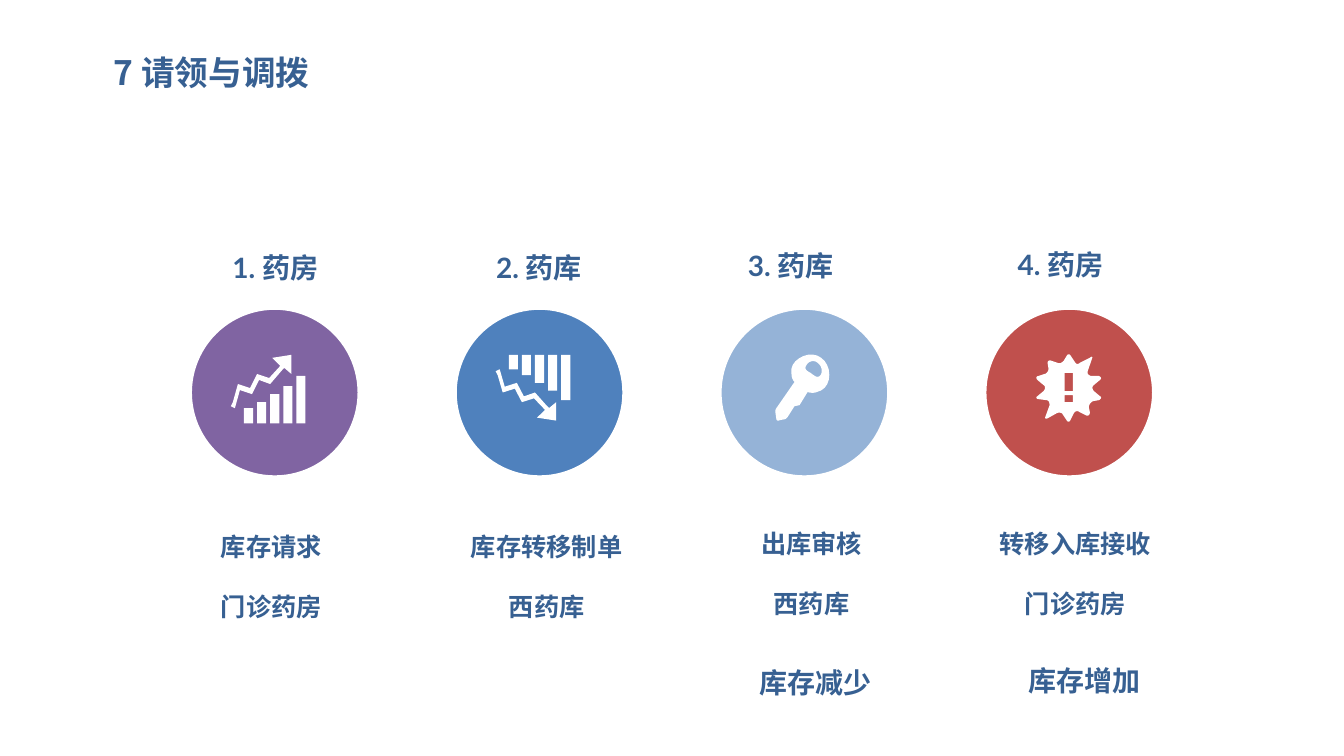
from dataclasses import dataclass
from lxml.etree import SubElement
from pptx import Presentation
from pptx.dml.color import RGBColor
from pptx.enum.shapes import MSO_SHAPE as Preset
from pptx.enum.text import MSO_AUTO_SIZE as AutoSize, PP_ALIGN as Align
from pptx.oxml.ns import qn
from pptx.util import Inches, Pt


@dataclass(frozen=True)
class Theme:
    ink: str = "376092"
    white: str = "FFFFFF"
    title_size: int = 24
    heading_size: int = 20
    body_size: int = 18
    heading_font: str = "Lato"
    result_font: str = "Calibri"
    chinese_font: str = "Noto Sans CJK SC"


THEME = Theme()
TITLE = "7 请领与调拨"
STEPS = [
    dict(heading="1. 药房", lines=["库存请求", "门诊药房"], color="8064A2",
         heading_at=(0.09, 2.42), body_at=(0.3, 4.97), body_width=1.29, align=Align.LEFT),
    dict(heading="2. 药库", lines=["库存转移制单", "西药库"], color="4F81BD",
         heading_at=(0.08, 2.42), body_at=(0.04, 4.97)),
    dict(heading="3. 药库", lines=["出库审核", "西药库"], color="95B3D7",
         heading_at=(-0.05, 2.4), body_at=(0.04, 4.94),
         result="库存减少", result_at=(0.24, 6.39)),
    dict(heading="4. 药房", lines=["转移入库接收", "门诊药房"], color="C0504D",
         heading_at=(0, 2.39), body_at=(0.03, 4.94),
         result="库存增加", result_at=(0.28, 6.37)),
]
FIRST_COLUMN, LAST_COLUMN = 1.89, 9.77
COLUMN_STEP = (LAST_COLUMN - FIRST_COLUMN) / (len(STEPS) - 1)
CIRCLE_TOP, CIRCLE_SIZE = 3.06, 1.67

TREND_ARROW = [
    (2.57, 3.77), (2.68, 3.81), (2.8, 3.67), (2.82, 3.65), (2.89, 3.71), (2.89, 3.52),
    (2.7, 3.55), (2.78, 3.63), (2.67, 3.75), (2.55, 3.71), (2.48, 3.85), (2.36, 3.81),
    (2.31, 3.99), (2.29, 4.03), (2.33, 4.05), (2.38, 3.87), (2.5, 3.91),
]
BAR_TOPS = [4.05, 3.99, 3.91, 3.83, 3.73]
BAR_LEFT, BAR_STEP, BAR_WIDTH, BAR_BASE = 2.42, 0.13, 0.09, 4.2
FALL_TOP, FALL_SCALE = 3.52, 0.96

KEY = [
    [(8.14, 3.72), (8.11, 3.76, 8.08, 3.73, 8.04, 3.7), (8, 3.68, 7.97, 3.66, 8, 3.62),
     (8.02, 3.58, 8.08, 3.57, 8.11, 3.6), (8.15, 3.63, 8.16, 3.68, 8.14, 3.72)],
    [(8.22, 3.67), (8.2, 3.57, 8.11, 3.5, 8.01, 3.52), (7.92, 3.54, 7.83, 3.61, 7.85, 3.71),
     (7.85, 3.74, 7.86, 3.77, 7.88, 3.79), (7.7, 4.05),
     (7.69, 4.06, 7.69, 4.08, 7.69, 4.09), (7.7, 4.16),
     (7.7, 4.17, 7.72, 4.18, 7.73, 4.17), (7.78, 4.16),
     (7.79, 4.16, 7.8, 4.15, 7.81, 4.14), (7.88, 4.03), (7.93, 4.02), (8.01, 3.89),
     (8.04, 3.9, 8.08, 3.9, 8.1, 3.89), (8.2, 3.87, 8.24, 3.77, 8.22, 3.67)],
]
BADGE_EDGE = [
    (10.91, 3.93), (10.85, 3.88), (10.83, 3.86, 10.83, 3.83, 10.85, 3.82),
    (10.91, 3.77), (10.93, 3.75, 10.92, 3.74, 10.9, 3.73),
    (10.82, 3.73), (10.79, 3.72, 10.78, 3.7, 10.79, 3.68),
    (10.83, 3.56), (10.84, 3.54, 10.83, 3.53, 10.81, 3.55),
    (10.71, 3.6), (10.69, 3.62, 10.67, 3.61, 10.66, 3.59),
    (10.62, 3.53), (10.61, 3.51, 10.59, 3.51, 10.58, 3.53),
    (10.55, 3.58), (10.53, 3.6, 10.51, 3.61, 10.49, 3.6),
    (10.43, 3.58), (10.41, 3.57, 10.39, 3.58, 10.39, 3.6),
    (10.4, 3.66), (10.4, 3.68, 10.38, 3.71, 10.36, 3.71),
    (10.3, 3.73), (10.28, 3.73, 10.27, 3.75, 10.29, 3.77),
    (10.35, 3.82), (10.37, 3.83, 10.37, 3.86, 10.35, 3.88),
    (10.29, 3.93), (10.27, 3.94, 10.28, 3.96, 10.3, 3.96),
    (10.38, 3.97), (10.4, 3.97, 10.41, 3.99, 10.41, 4.02),
    (10.37, 4.13), (10.36, 4.15, 10.37, 4.16, 10.39, 4.15),
    (10.48, 4.1), (10.5, 4.09, 10.53, 4.09, 10.54, 4.11),
    (10.58, 4.17), (10.59, 4.19, 10.61, 4.19, 10.62, 4.16),
    (10.65, 4.1), (10.66, 4.08, 10.69, 4.07, 10.71, 4.09),
    (10.77, 4.12), (10.79, 4.13, 10.81, 4.12, 10.81, 4.09),
    (10.8, 4.04), (10.8, 4.01, 10.82, 3.99, 10.84, 3.98),
    (10.9, 3.97), (10.92, 3.96, 10.93, 3.94, 10.91, 3.93),
]


def rectangle(left, top, right, bottom):
    return [(left, top), (right, top), (right, bottom), (left, bottom)]


def rising_bars():
    lefts = [BAR_LEFT + BAR_STEP * index for index in range(len(BAR_TOPS))]
    return [rectangle(left, top, left + BAR_WIDTH, BAR_BASE)
            for left, top in zip(lefts, BAR_TOPS)]


def flatten(segments, pieces=6):
    points = []
    for segment in segments:
        if len(segment) == 2:
            points.append(segment)
            continue
        curve = [points[-1], segment[:2], segment[2:4], segment[4:]]
        for piece in range(1, pieces + 1):
            t = piece / pieces
            weights = ((1 - t) ** 3, 3 * t * (1 - t) ** 2, 3 * t * t * (1 - t), t ** 3)
            points.append(tuple(sum(weight * point[axis] for weight, point in zip(weights, curve))
                                for axis in (0, 1)))
    return points


def paint(shape, color):
    shape.shadow.inherit = False
    shape.fill.solid()
    shape.fill.fore_color.rgb = RGBColor.from_string(color)


def add_icon(slide, contours):
    outlines = [[(Inches(x), Inches(y)) for x, y in flatten(contour)] for contour in contours]
    builder = slide.shapes.build_freeform(*outlines[0][0], scale=1.0)
    for index, outline in enumerate(outlines):
        if index:
            builder.move_to(*outline[0])
        builder.add_line_segments(outline[1:], close=True)
    icon = builder.convert_to_shape()
    paint(icon, THEME.white)
    icon.line.fill.background()


def add_circle(slide, left, color):
    circle = slide.shapes.add_shape(Preset.OVAL, Inches(left), Inches(CIRCLE_TOP),
                                    Inches(CIRCLE_SIZE), Inches(CIRCLE_SIZE))
    paint(circle, color)
    circle.line.color.rgb = RGBColor.from_string(THEME.white)
    circle.line.width = Pt(2)


def add_text(slide, lines, *, box, size, font, spacing, align=Align.LEFT,
             insets=(0, 0), grow=True):
    shape = slide.shapes.add_textbox(*map(Inches, box))
    frame = shape.text_frame
    frame.word_wrap = True
    frame.auto_size = AutoSize.SHAPE_TO_FIT_TEXT if grow else AutoSize.NONE
    frame.margin_left = frame.margin_right = Inches(insets[0])
    frame.margin_top = frame.margin_bottom = Inches(insets[1])
    for index, line in enumerate(lines):
        paragraph = frame.paragraphs[0] if index == 0 else frame.add_paragraph()
        paragraph.alignment = align
        paragraph.line_spacing = spacing
        run = paragraph.add_run()
        run.text = line
        run.font.size = Pt(size)
        run.font.bold = True
        run.font.color.rgb = RGBColor.from_string(THEME.ink)
        run.font.name = font
        SubElement(run.font._element, qn("a:ea"), typeface=THEME.chinese_font)


def main():
    presentation = Presentation()
    presentation.slide_width, presentation.slide_height = Inches(13.33), Inches(7.5)
    slide = presentation.slides.add_slide(presentation.slide_layouts[6])

    growth = [TREND_ARROW, *rising_bars()]
    decline = [[(x + COLUMN_STEP, FALL_TOP + (BAR_BASE - y) * FALL_SCALE) for x, y in contour]
               for contour in growth]
    badge = [rectangle(10.56, 3.7, 10.64, 3.88), rectangle(10.56, 3.92, 10.64, 3.99), BADGE_EDGE]

    for index, (step, icon) in enumerate(zip(STEPS, [growth, decline, KEY, badge])):
        column = FIRST_COLUMN + COLUMN_STEP * index
        add_circle(slide, column, step["color"])
        add_icon(slide, icon)
        shift, top = step["heading_at"]
        add_text(slide, [step["heading"]], box=(column + shift, top, 1.5, 0.4),
                 size=THEME.heading_size, font=THEME.heading_font, spacing=1.2,
                 align=Align.CENTER)
        shift, top = step["body_at"]
        add_text(slide, step["lines"], box=(column + shift, top, step.get("body_width", 1.73), 1.21),
                 size=THEME.body_size, font=THEME.chinese_font, spacing=2.0,
                 align=step.get("align", Align.CENTER))
        if "result" in step:
            shift, top = step["result_at"]
            add_text(slide, [step["result"]], box=(column + shift, top, 1.66, 0.6),
                     size=THEME.heading_size, font=THEME.result_font, spacing=1.5,
                     insets=(0.15, 0.05))

    add_text(slide, [TITLE], box=(1.03, 0.51, 10.21, 0.58), size=THEME.title_size,
             font=THEME.chinese_font, spacing=0.9, insets=(0.1, 0.05), grow=False)
    presentation.save("out.pptx")


if __name__ == "__main__":
    main()
